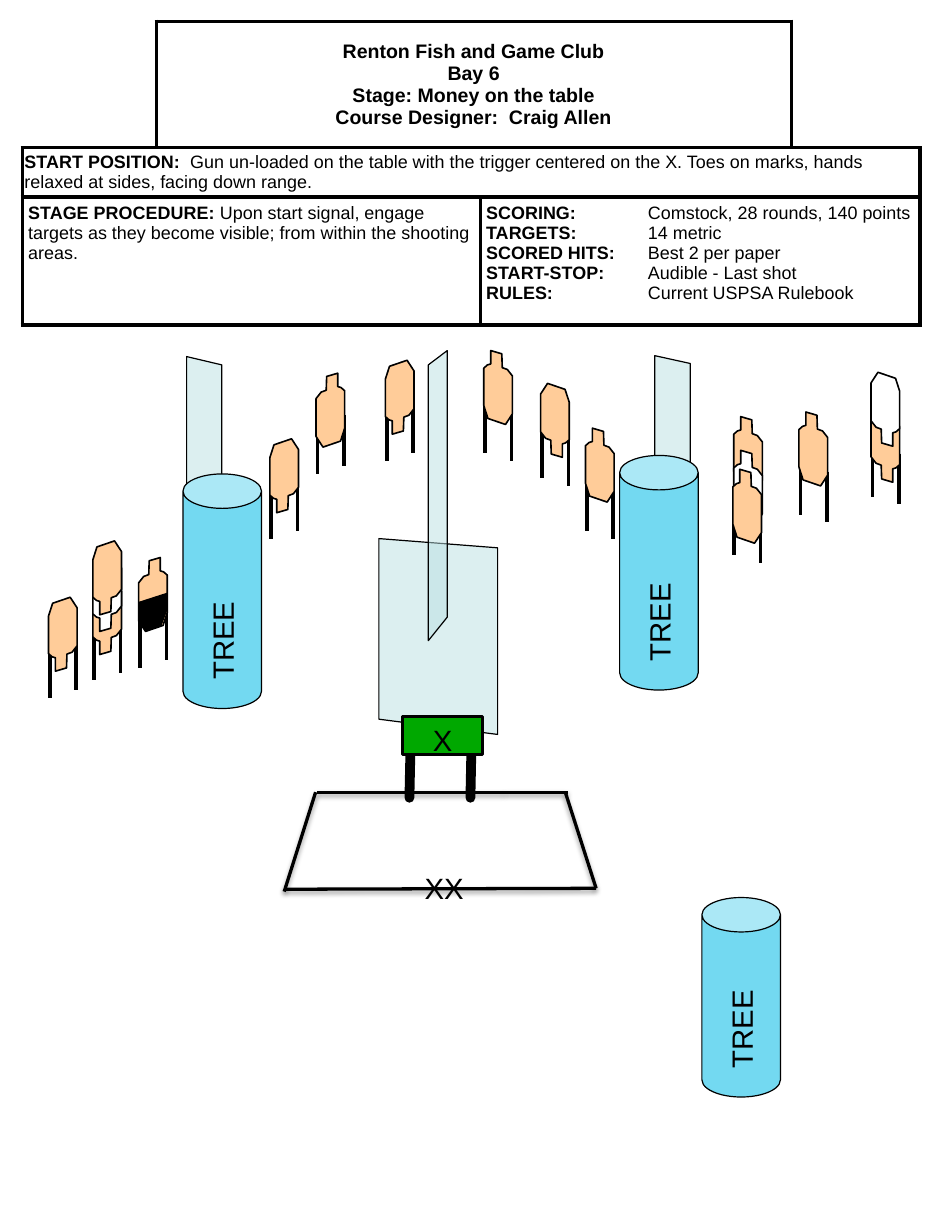
import lxml.etree
import pptx
import pptx.dml.color
import pptx.enum.shapes
import pptx.enum.text
import pptx.oxml
import pptx.oxml.ns
import pptx.util
from pptx.util import Cm

BLACK, WHITE, TAN, GLASS = "000000", "FFFFFF", "FFCC99", "BBE0E3"
BARK, GREEN = "73D9F1", "00A800"
TARGET_WIDTH, TARGET_HEIGHT = 0.62, 1.6
TARGET_OUTLINE = [
    (0.39, 0.07), (0.15, 0), (0.15, 0.29), (0.08, 0.31), (0, 0.38), (0, 1.19),
    (0.09, 1.47), (0.47, 1.6), (0.62, 1.37), (0.62, 0.55), (0.51, 0.41), (0.4, 0.37),
]
LEG_LENGTH, LEG_STEP = 1.1, 0.17


def color(value):
    return pptx.dml.color.RGBColor.from_string(value)


def add_element(parent, tag, **attributes):
    element = lxml.etree.SubElement(parent, pptx.oxml.ns.qn(tag))
    for name, value in attributes.items():
        element.set(name, str(value))
    return element


def set_font(paragraph, size, bold=None):
    paragraph.font.name = "Arial"
    paragraph.font.size = pptx.util.Pt(size)
    paragraph.font.bold = bold
    paragraph.font.color.rgb = color(BLACK)


def paint(shape, fill, line_width, alpha=None):
    shape.shadow.inherit = False
    shape.fill.solid()
    shape.fill.fore_color.rgb = color(fill)
    if alpha:
        fill_color = shape.element.spPr.find(".//" + pptx.oxml.ns.qn("a:srgbClr"))
        add_element(fill_color, "a:alpha", val=alpha * 1000)
    if line_width:
        shape.line.color.rgb = color(BLACK)
        shape.line.width = pptx.util.Pt(line_width)
    else:
        shape.line.fill.background()


def add_line(shapes, start, end, width, shadow=False, round_cap=False):
    connector = shapes.add_connector(
        pptx.enum.shapes.MSO_CONNECTOR.STRAIGHT, *map(Cm, start + end))
    connector.line.color.rgb = color(BLACK)
    connector.line.width = pptx.util.Pt(width)
    if round_cap:
        connector.line._get_or_add_ln().set("cap", "rnd")
    effects = add_element(connector.element.spPr, "a:effectLst")
    if shadow:
        outer = add_element(effects, "a:outerShdw", blurRad=39400, dist=20300,
                            dir=5400000, rotWithShape=0)
        add_element(add_element(outer, "a:srgbClr", val=BLACK), "a:alpha", val=38000)


def add_outline(shapes, points, fill, line_width, alpha=None):
    points = [(Cm(x), Cm(y)) for x, y in points]
    builder = shapes.build_freeform(*points[0])
    builder.add_line_segments(points[1:], close=True)
    paint(builder.convert_to_shape(), fill, line_width, alpha)


def add_panel(shapes, left, right, left_top, left_bottom, right_top, right_bottom):
    points = [(right, right_top), (left, left_top), (left, left_bottom), (right, right_bottom)]
    add_outline(shapes, points, GLASS, 0.75, alpha=50)


def add_target_body(shapes, left, top, head_up=True, mirrored=False, fill=TAN):
    points = [
        (left + (TARGET_WIDTH - x if mirrored else x),
         top + (y if head_up else TARGET_HEIGHT - y))
        for x, y in TARGET_OUTLINE
    ]
    add_outline(shapes, points, fill, 1)


def add_target(shapes, left, top, leg_top, head_up, mirrored, overlays=()):
    group = shapes.add_group_shape().shapes
    low_left = head_up == mirrored
    for x, is_low in ((left + 0.03, low_left), (left + 0.6, not low_left)):
        leg = top + leg_top + (LEG_STEP if is_low else 0)
        add_line(group, (x, leg), (x, leg + LEG_LENGTH), 2.25)
    add_target_body(group, left, top, head_up, mirrored)
    for rise, fill in overlays:
        add_target_body(group, left, top - rise, head_up, mirrored, fill)
    return group


def add_tree(shapes, left, top, height):
    shape = shapes.add_shape(pptx.enum.shapes.MSO_SHAPE.CAN,
                             Cm(left), Cm(top), Cm(1.7), Cm(height))
    shape.adjustments[0] = 0.439
    paint(shape, BARK, 0.75)
    frame = shape.text_frame
    frame.text = "TREE"
    frame.word_wrap = False
    frame.vertical_anchor = pptx.enum.text.MSO_ANCHOR.MIDDLE
    shape.element.txBody.bodyPr.set("vert", "vert270")
    set_font(frame.paragraphs[0], 18)


def add_toe_marks(shapes):
    frame = shapes.add_textbox(Cm(8.94), Cm(18.72), Cm(1.37), Cm(1.02)).text_frame
    frame.text = "XX"
    set_font(frame.paragraphs[0], 18)


def add_gun_table(shapes):
    group = shapes.add_group_shape().shapes
    for x in (10.2, 8.88):
        add_line(group, (x, 16.31), (x - 0.02, 17.27), 6, round_cap=True)
    top = group.add_shape(pptx.enum.shapes.MSO_SHAPE.RECTANGLE,
                          Cm(8.71), Cm(15.52), Cm(1.74), Cm(0.82))
    paint(top, GREEN, 1.75)
    top.text_frame.text = "X"
    top.text_frame.vertical_anchor = pptx.enum.text.MSO_ANCHOR.TOP
    top.text_frame.paragraphs[0].alignment = pptx.enum.text.PP_ALIGN.CENTER
    set_font(top.text_frame.paragraphs[0], 18)


def set_cell(cell, sides, margin_x=0.13, margin_y=0.13):
    cell.fill.solid()
    cell.fill.fore_color.rgb = color(WHITE)
    cell.margin_left = cell.margin_right = Cm(margin_x)
    cell.margin_top = cell.margin_bottom = Cm(margin_y)
    properties = cell._tc.get_or_add_tcPr()
    for index, side in enumerate("LRTB"):
        border = add_element(properties, "a:ln" + side, w=28575)
        if side in sides:
            add_element(add_element(border, "a:solidFill"), "a:srgbClr", val=BLACK)
        else:
            add_element(border, "a:noFill")
        properties.insert(index, border)


def add_labelled(paragraph, label, value, tab=None):
    if tab:
        stops = add_element(paragraph._p.get_or_add_pPr(), "a:tabLst")
        add_element(stops, "a:tab", pos=Cm(tab), algn="l")
    set_font(paragraph, 11)
    for text, bold in ((label, True), (value, False)):
        run = paragraph.add_run()
        run.text = text
        run.font.bold = bold


def add_briefing(shapes):
    columns, rows = (2.9, 7.01, 6.73, 2.79), (2.74, 0.94, 2.77)
    table = shapes.add_table(len(rows), len(columns), Cm(0.48), Cm(0.46),
                             Cm(sum(columns)), Cm(sum(rows))).table
    table.first_row = table.horz_banding = False
    for column, width in zip(table.columns, columns):
        column.width = Cm(width)
    for row, height in zip(table.rows, rows):
        row.height = Cm(height)
    for first, last in (((0, 1), (0, 2)), ((1, 0), (1, 3)), ((2, 0), (2, 1)), ((2, 2), (2, 3))):
        table.cell(*first).merge(table.cell(*last))
    for row in range(len(rows)):
        for column in range(len(columns)):
            sides = {(0, 0): "RB", (0, 3): "LB"}.get((row, column), "LRTB")
            margins = (0.05, 0.1) if row == 1 else (0.13, 0.13)
            set_cell(table.cell(row, column), sides, *margins)

    heading = table.cell(0, 1)
    heading.vertical_anchor = pptx.enum.text.MSO_ANCHOR.MIDDLE
    paragraph = heading.text_frame.paragraphs[0]
    paragraph.text = ("Renton Fish and Game Club\vBay 6\v"
                      "Stage: Money on the table\vCourse Designer:  Craig Allen")
    paragraph.alignment = pptx.enum.text.PP_ALIGN.CENTER
    set_font(paragraph, 12, bold=True)

    add_labelled(table.cell(1, 0).text_frame.paragraphs[0], "START POSITION:  ",
                 "Gun un-loaded on the table with the trigger centered on the X. "
                 "Toes on marks, hands relaxed at sides, facing down range.")
    add_labelled(table.cell(2, 0).text_frame.paragraphs[0], "STAGE PROCEDURE: ",
                 "Upon start signal, engage targets as they become visible; "
                 "from within the shooting areas.")
    frame = table.cell(2, 2).text_frame
    for index, (label, value) in enumerate([
        ("SCORING:", "Comstock, 28 rounds, 140 points"),
        ("TARGETS:", "14 metric"),
        ("SCORED HITS:", "Best 2 per paper"),
        ("START-STOP:", "Audible - Last shot"),
        ("RULES:", "Current USPSA Rulebook"),
    ]):
        paragraph = frame.add_paragraph() if index else frame.paragraphs[0]
        add_labelled(paragraph, label + "\t", value, tab=3.5)


def main():
    presentation = pptx.Presentation()
    presentation.slide_width, presentation.slide_height = Cm(20.32), Cm(26.67)
    shapes = presentation.slides.add_slide(presentation.slide_layouts[6]).shapes

    for start, end in [((6.86, 17.15), (10.9, 17.15)), ((10.9, 17.15), (12.29, 17.15)),
                       ((12.9, 19.23), (12.24, 17.17)), ((6.83, 17.15), (6.15, 19.3))]:
        add_line(shapes, start, end, 2, shadow=True)
    add_panel(shapes, 4.04, 4.8, 7.72, 11.2, 7.9, 11.51)
    add_panel(shapes, 14.17, 14.94, 7.7, 11.18, 7.87, 11.48)
    add_target_body(shapes, 15.88, 9.02)
    add_target_body(shapes, 15.88, 9.75, fill=WHITE)
    add_briefing(shapes)
    for tree in [(13.41, 9.86, 5.08), (3.96, 10.26, 5.08), (15.19, 19.43, 4.32)]:
        add_tree(shapes, *tree)
    add_toe_marks(shapes)
    add_panel(shapes, 8.2, 10.77, 11.66, 15.57, 11.86, 15.9)

    add_target(shapes, 2.01, 12.57, 0.89, False, False, [(0.5, WHITE), (0.86, TAN)])
    painted = add_target(shapes, 3, 12.07, 1.12, True, True)
    add_outline(painted, [(3, 13.44), (3.15, 13.67), (3.5, 13.54), (3.62, 13.21),
                          (3.62, 12.83), (3, 13.03)], BLACK, None)
    add_target(shapes, 1.05, 12.93, 0.91, False, False)
    add_target(shapes, 18.85, 8.84, 0.81, False, True, [(0.78, WHITE)])
    for target in [
        (15.86, 10.16, 0.76, True, False), (17.29, 8.92, 1.12, True, False),
        (10.47, 7.59, 1.12, True, False), (12.67, 9.27, 1.12, True, False),
        (5.84, 9.5, 0.89, False, False), (8.34, 7.8, 0.91, False, False),
        (6.84, 8.08, 0.91, True, True), (11.7, 8.3, 0.94, False, True),
    ]:
        add_target(shapes, *target)

    add_gun_table(shapes)
    add_panel(shapes, 9.27, 9.68, 7.9, 13.87, 7.59, 13.36)
    add_line(shapes, (6.15, 19.25), (12.9, 19.23), 2, shadow=True)
    presentation.save("out.pptx")


if __name__ == "__main__":
    main()
